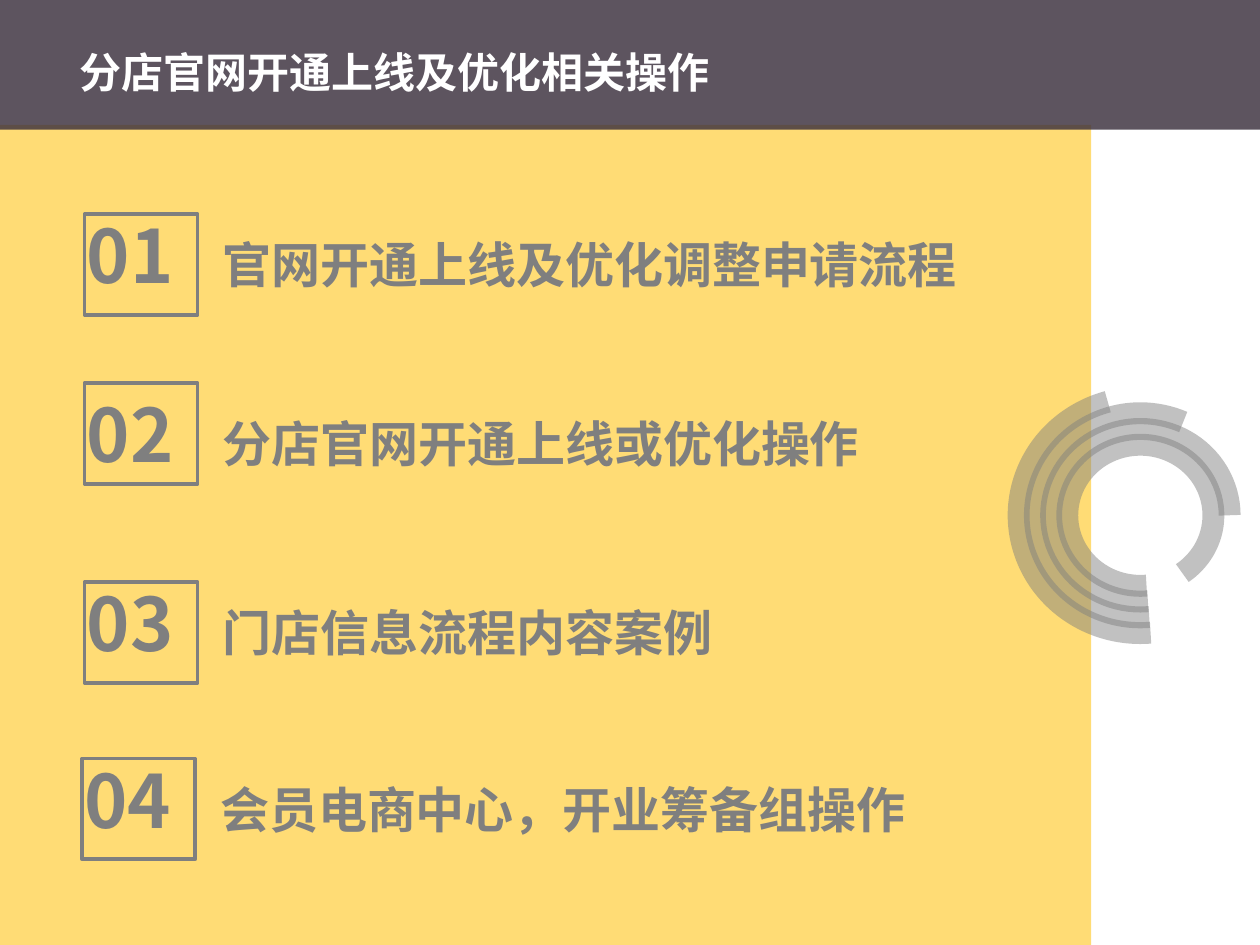
"""Build the agenda slide for opening and optimising branch websites."""
import pptx
import pptx.dml.color
import pptx.enum.shapes
import pptx.enum.text
import pptx.oxml
import pptx.oxml.ns
import pptx.util
from pptx.util import Inches

TITLE = "分店官网开通上线及优化相关操作"
# Each item: number, wording, text left and top, frame top
ITEMS = [
    ("01", "官网开通上线及优化调整申请流程", 0.59, 1.62, 1.7),
    ("02", "分店官网开通上线或优化操作", 0.59, 3.04, 3.04),
    ("03", "门店信息流程内容案例", 0.59, 4.54, 4.62),
    ("04", "会员电商中心，开业筹备组操作", 0.57, 5.94, 6.02),
]
PANELS = [
    ((0, 0.99, 8.66, 6.51), "FFC000", 54),
    ((0, 0, 10, 1.03), "3A2F3D", 82),
]
ARC_CENTER = (9.05, 4.09)
ARC_START = 355
ARC_ENDS = [324, 270, 204.7, 164]
GRAY = "7F7F7F"
FONT = "Noto Sans CJK SC"
SHAPES = pptx.enum.shapes.MSO_SHAPE
TEXT_FRAME = {
    "word_wrap": True,
    "auto_size": pptx.enum.text.MSO_AUTO_SIZE.NONE,
    "vertical_anchor": pptx.enum.text.MSO_ANCHOR.TOP,
}


def apply(target, values):
    for name, value in values.items():
        setattr(target, name, value)


def paint(fill, color, alpha=100):
    fill.solid()
    fill.fore_color.rgb = pptx.dml.color.RGBColor.from_string(color)
    if alpha < 100:
        for node in fill._xPr.iter(pptx.oxml.ns.qn("a:srgbClr")):
            child = node.makeelement(pptx.oxml.ns.qn("a:alpha"), {"val": str(alpha * 1000)})
            node.append(child)


def add_figure(page, kind, place, fill=None, line=None, width=0, alpha=100):
    figure = page.shapes.add_shape(kind, *map(Inches, place))
    figure.shadow.inherit = False
    if fill:
        paint(figure.fill, fill, alpha)
    else:
        figure.fill.background()
    if line:
        figure.line.width = pptx.util.Pt(width)
        paint(figure.line.fill, line, alpha)
    else:
        figure.line.fill.background()
    return figure


def write(box, place, spans, color, tab=None):
    apply(box, dict(zip(("left", "top", "width", "height"), map(Inches, place))))
    apply(box.text_frame, TEXT_FRAME)
    para = box.text_frame.paragraphs[0]
    para.alignment = pptx.enum.text.PP_ALIGN.LEFT
    if tab:
        properties = para._p.get_or_add_pPr()
        stops = properties.makeelement(pptx.oxml.ns.qn("a:tabLst"), {})
        stop = {"pos": str(Inches(tab)), "algn": "l"}
        stops.append(stops.makeelement(pptx.oxml.ns.qn("a:tab"), stop))
        properties.append(stops)
    for text, size in spans:
        span = para.add_run()
        span.text = text
        apply(span.font, {"name": FONT, "size": pptx.util.Pt(size), "bold": True})
        paint(span.font.fill, color)
        properties = span.font._element
        properties.append(properties.makeelement(pptx.oxml.ns.qn("a:ea"), {"typeface": FONT}))


def main():
    deck = pptx.Presentation()
    apply(deck, {"slide_width": Inches(10), "slide_height": Inches(7.5)})
    page = deck.slides.add_slide(deck.slide_layouts[5])

    for place, color, alpha in PANELS:
        add_figure(page, SHAPES.RECTANGLE, place, fill=color, alpha=alpha)

    for index, end in enumerate(ARC_ENDS):
        width, height = 1.12 + 0.25 * index, 1.16 + 0.257 * index
        place = (ARC_CENTER[0] - width / 2, ARC_CENTER[1] - height / 2, width, height)
        arc = add_figure(page, SHAPES.ARC, place, line=GRAY, width=12.5, alpha=47)
        arc.rotation = 90
        for position, angle in enumerate((ARC_START, end)):
            arc.adjustments[position] = angle * 0.6

    for number, wording, left, top, frame_top in ITEMS:
        box = page.shapes.add_textbox(0, 0, 0, 0)
        spans = [(number + "\t", 42), (wording, 28)]
        write(box, (left, top, 8.07, 0.8), spans, GRAY, tab=1.08)
        frame = (left + 0.08, frame_top, 0.9, 0.8)
        add_figure(page, SHAPES.RECTANGLE, frame, line=GRAY, width=2)

    title = page.shapes.title
    write(title, (0.53, 0.32, 5.89, 0.5), [(TITLE, 24)], "FFFFFF")
    title.element.getparent().append(title.element)
    deck.save("out.pptx")


if __name__ == "__main__":
    main()
